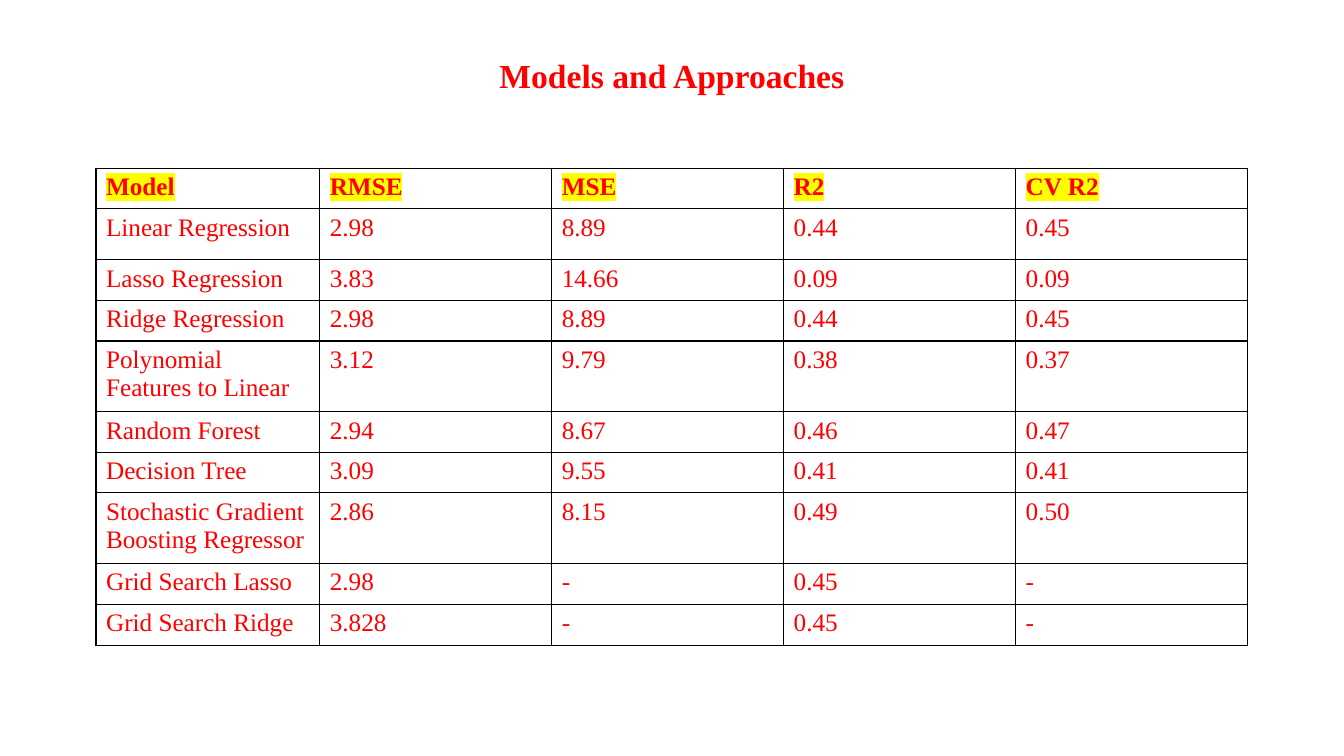
from lxml.etree import SubElement
from pptx import Presentation
from pptx.dml.color import RGBColor
from pptx.enum.text import MSO_ANCHOR, PP_ALIGN
from pptx.oxml.ns import qn
from pptx.util import Pt

FONT = "Times New Roman"
RED, YELLOW, BLACK = "FF0000", "FFFF00", "000000"

COLUMN_WIDTHS = [159.8] + [165.7] * 4
ROW_HEIGHTS = [29, 36.4, 29, 29, 50.4, 29, 29, 50.4, 29.3, 29.3]
RESULTS = [
    ("Model", "RMSE", "MSE", "R2", "CV R2"),
    ("Linear Regression", "2.98", "8.89", "0.44", "0.45"),
    ("Lasso Regression", "3.83", "14.66", "0.09", "0.09"),
    ("Ridge Regression", "2.98", "8.89", "0.44", "0.45"),
    ("Polynomial Features to Linear", "3.12", "9.79", "0.38", "0.37"),
    ("Random Forest", "2.94", "8.67", "0.46", "0.47"),
    ("Decision Tree", "3.09", "9.55", "0.41", "0.41"),
    ("Stochastic Gradient Boosting Regressor", "2.86", "8.15", "0.49", "0.50"),
    ("Grid Search Lasso", "2.98", "-", "0.45", "-"),
    ("Grid Search Ridge", "3.828", "-", "0.45", "-"),
]


def color(hex_string):
    return RGBColor.from_string(hex_string)


def set_font(paragraph, size, bold):
    font = paragraph.font
    font.name = FONT
    font.size = Pt(size)
    font.bold = bold
    font.color.rgb = color(RED)


def add_solid_color(parent, tag, hex_string):
    element = SubElement(parent, qn(tag))
    SubElement(element, qn("a:srgbClr"), val=hex_string)


def highlight(run):
    add_solid_color(run.font._element, "a:highlight", YELLOW)


def set_borders(cell):
    properties = cell._tc.get_or_add_tcPr()
    for side in ("L", "R", "T", "B"):
        line = SubElement(properties, qn(f"a:ln{side}"), w=str(Pt(1)))
        add_solid_color(line, "a:solidFill", BLACK)


def add_title(slide, text):
    title = slide.shapes.title
    title.left, title.top = Pt(348.5), Pt(35.3)
    title.width, title.height = Pt(262.8), Pt(36)
    frame = title.text_frame
    frame.text = text
    frame.word_wrap = False
    frame.vertical_anchor = MSO_ANCHOR.TOP
    paragraph = frame.paragraphs[0]
    paragraph.alignment = PP_ALIGN.CENTER
    set_font(paragraph, 24, True)


def fill_cell(cell, text, is_header):
    cell.text = text
    paragraph = cell.text_frame.paragraphs[0]
    set_font(paragraph, 18, is_header)
    if is_header:
        highlight(paragraph.runs[0])
    # Borders precede the fill in the cell properties
    set_borders(cell)
    cell.fill.background()


def add_results_table(slide):
    table = slide.shapes.add_table(
        len(RESULTS), len(COLUMN_WIDTHS), Pt(68.6), Pt(120.2),
        Pt(sum(COLUMN_WIDTHS)), Pt(sum(ROW_HEIGHTS))).table
    table.first_row = table.horz_banding = False
    for column, width in zip(table.columns, COLUMN_WIDTHS):
        column.width = Pt(width)
    for row_index, (row, height) in enumerate(zip(table.rows, ROW_HEIGHTS)):
        row.height = Pt(height)
        for cell, text in zip(row.cells, RESULTS[row_index]):
            fill_cell(cell, text, row_index == 0)


def main():
    presentation = Presentation()
    presentation.slide_width, presentation.slide_height = Pt(960), Pt(540)
    # "Title Only" layout
    slide = presentation.slides.add_slide(presentation.slide_layouts[5])
    add_title(slide, "Models and Approaches")
    add_results_table(slide)
    presentation.save("out.pptx")


if __name__ == "__main__":
    main()
